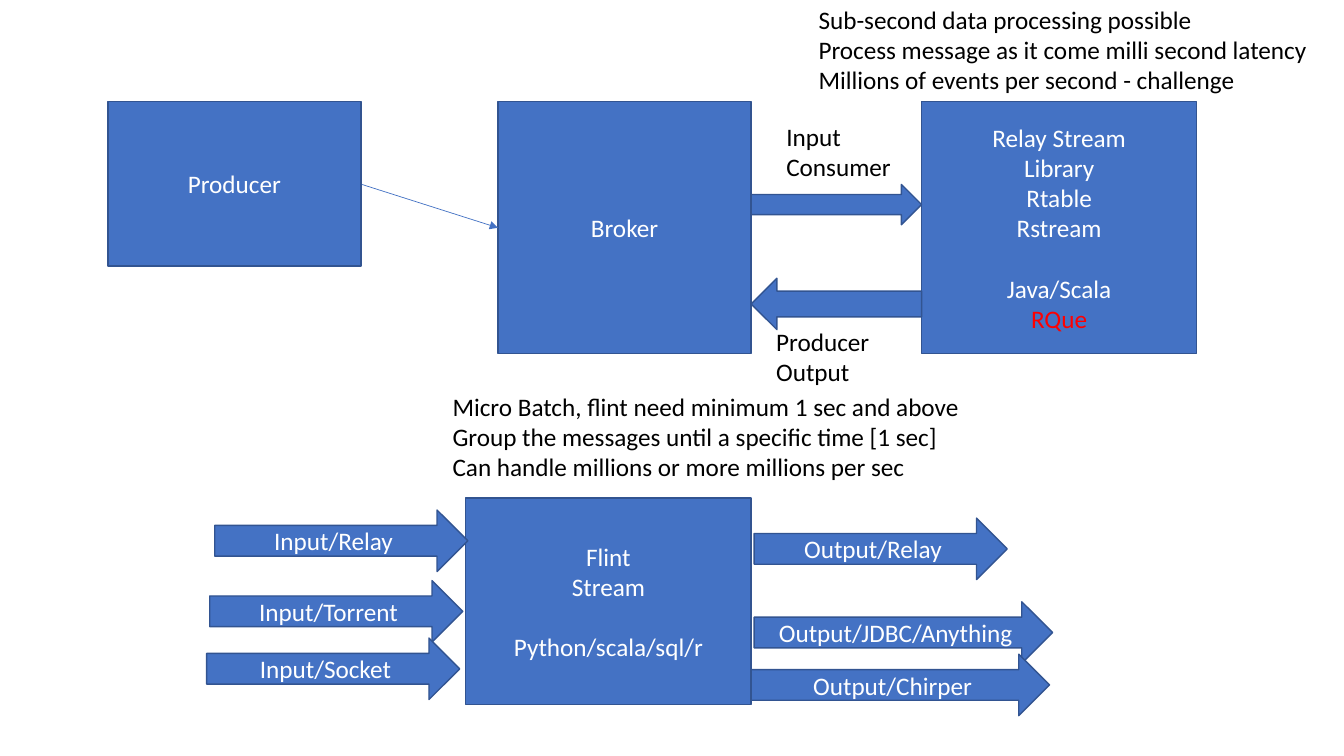
"""Builds a slide comparing per-message streaming with micro-batch streaming."""
from lxml import etree
from pptx import Presentation
from pptx.dml.color import RGBColor
from pptx.enum.shapes import MSO_CONNECTOR, MSO_SHAPE
from pptx.enum.text import MSO_ANCHOR, MSO_AUTO_SIZE, PP_ALIGN
from pptx.oxml.ns import qn
from pptx.util import Inches, Pt

RECTANGLE, RIGHT_ARROW = MSO_SHAPE.RECTANGLE, MSO_SHAPE.RIGHT_ARROW
STRAIGHT = MSO_CONNECTOR.STRAIGHT
MIDDLE, CENTER, LEFT = MSO_ANCHOR.MIDDLE, PP_ALIGN.CENTER, PP_ALIGN.LEFT
GROW = MSO_AUTO_SIZE.SHAPE_TO_FIT_TEXT
BLUE, OUTLINE, WHITE, BLACK, RED = "4472C4", "325491", "FFFFFF", "000000", "FF0000"
GROUP_GAP = Pt(21.6)


def write_lines(frame, lines, color, align):
    for index, line in enumerate(lines):
        paragraph = frame.paragraphs[0] if index == 0 else frame.add_paragraph()
        paragraph.alignment = align
        run = paragraph.add_run()
        run.text = line
        run.font.name = "Calibri"
        run.font.size = Pt(18)
        run.font.color.rgb = RGBColor.from_string(color)


def add_block(kind, box, lines=()):
    block = slide.shapes.add_shape(kind, *map(Inches, box))
    block.shadow.inherit = False
    block.fill.solid()
    block.fill.fore_color.rgb = RGBColor.from_string(BLUE)
    block.line.color.rgb = RGBColor.from_string(OUTLINE)
    block.line.width = Pt(1)
    block.text_frame.word_wrap = True
    block.text_frame.vertical_anchor = MIDDLE
    write_lines(block.text_frame, lines, WHITE, CENTER)
    return block


deck = Presentation()
deck.slide_width, deck.slide_height = Inches(13.33), Inches(7.5)
slide = deck.slides.add_slide(deck.slide_layouts[6])

add_block(RECTANGLE, (1.07, 1.01, 2.51, 1.63), ["Producer"])
add_block(RECTANGLE, (4.94, 1.01, 2.51, 2.5), ["Broker"])

publish = slide.shapes.add_connector(
    STRAIGHT, Inches(3.59), Inches(1.83), Inches(4.94), Inches(2.26))
publish.line.color.rgb = RGBColor.from_string(BLUE)
publish.line.width = Pt(0.5)
etree.SubElement(publish.line._get_or_add_ln(), qn("a:tailEnd"), type="triangle")
etree.SubElement(publish._element.spPr, qn("a:effectLst"))

event_stream = add_block(
    RECTANGLE, (9.14, 1.01, 2.73, 2.5),
    ["Relay Stream", "Library", "Rtable", "Rstream", "Java/Scala", "RQue"])
languages, query_engine = event_stream.text_frame.paragraphs[-2:]
languages.space_before = GROUP_GAP
query_engine.runs[0].font.color.rgb = RGBColor.from_string(RED)

add_block(RIGHT_ARROW, (7.45, 1.83, 1.69, 0.4))
to_broker = add_block(RIGHT_ARROW, (7.45, 2.76, 1.69, 0.51))
to_broker.rotation = 180

batch_stream = add_block(
    RECTANGLE, (4.62, 4.94, 2.83, 2.05), ["Flint", "Stream", "Python/scala/sql/r"])
batch_stream.text_frame.paragraphs[-1].space_before = GROUP_GAP

for left, top, width, channel in [
    (2.13, 5.06, 2.51, "Input/Relay"),
    (7.48, 5.14, 2.51, "Output/Relay"),
    (7.48, 5.97, 2.96, "Output/JDBC/Anything"),
    (2.08, 5.76, 2.51, "Input/Torrent"),
    (2.05, 6.33, 2.51, "Input/Socket"),
    (7.45, 6.49, 2.96, "Output/Chirper"),
]:
    add_block(RIGHT_ARROW, (left, top, width, 0.61), [channel])

for box, lines in [
    ((7.7, 1.15, 1.25, 0.71), ["Input", "Consumer"]),
    ((7.6, 3.19, 1.14, 0.71), ["Producer", "Output"]),
    ((8.02, -0.01, 5.1, 1.01), [
        "Sub-second data processing possible",
        "Process message as it come milli second latency",
        "Millions of events per second - challenge"]),
    ((4.39, 3.83, 5.43, 1.01), [
        "Micro Batch, flint need minimum 1 sec and above",
        "Group the messages until a specific time [1 sec]",
        "Can handle millions or more millions per sec"]),
]:
    note = slide.shapes.add_textbox(*map(Inches, box)).text_frame
    note.word_wrap = False
    note.auto_size = GROW
    write_lines(note, lines, BLACK, LEFT)

deck.save("out.pptx")
